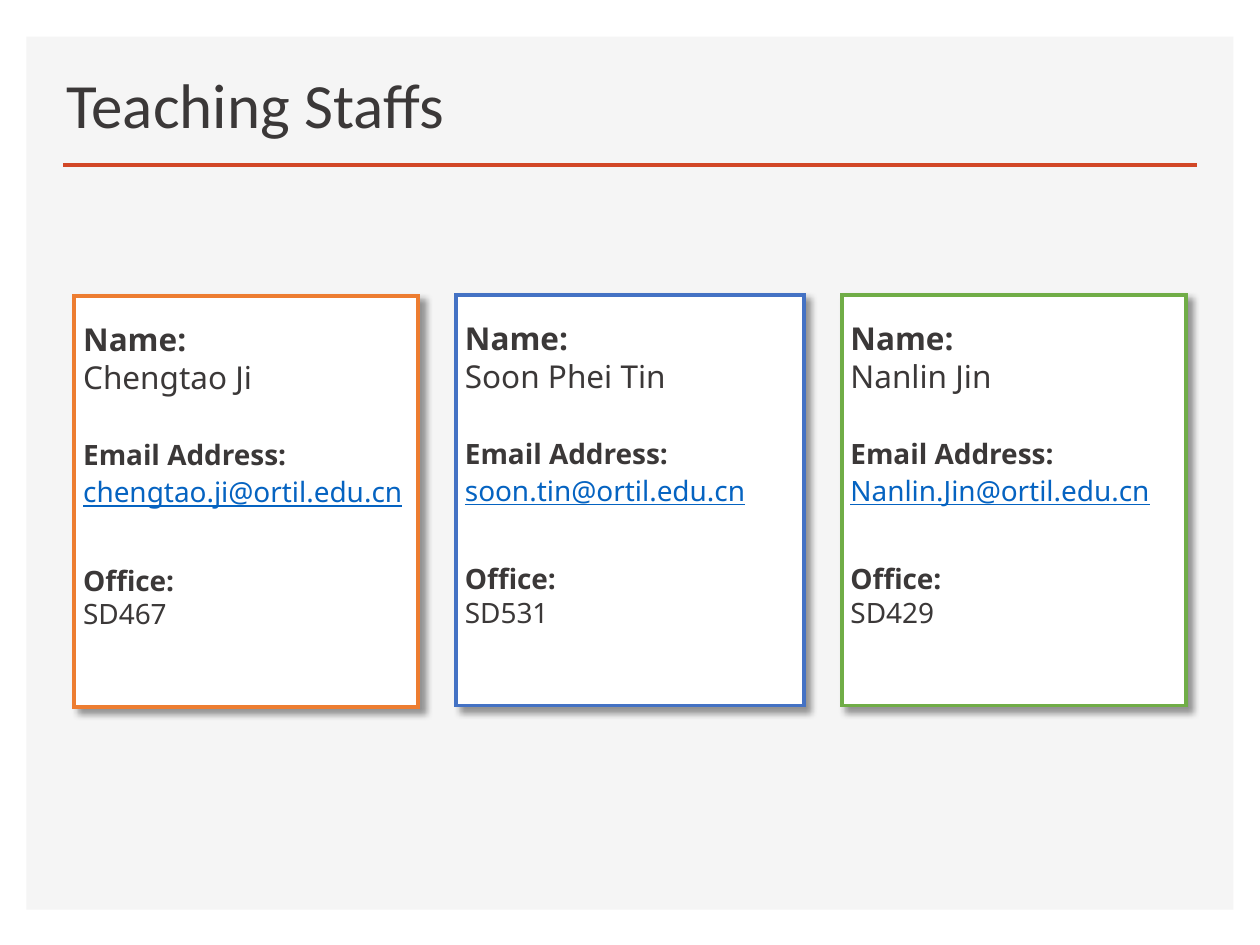
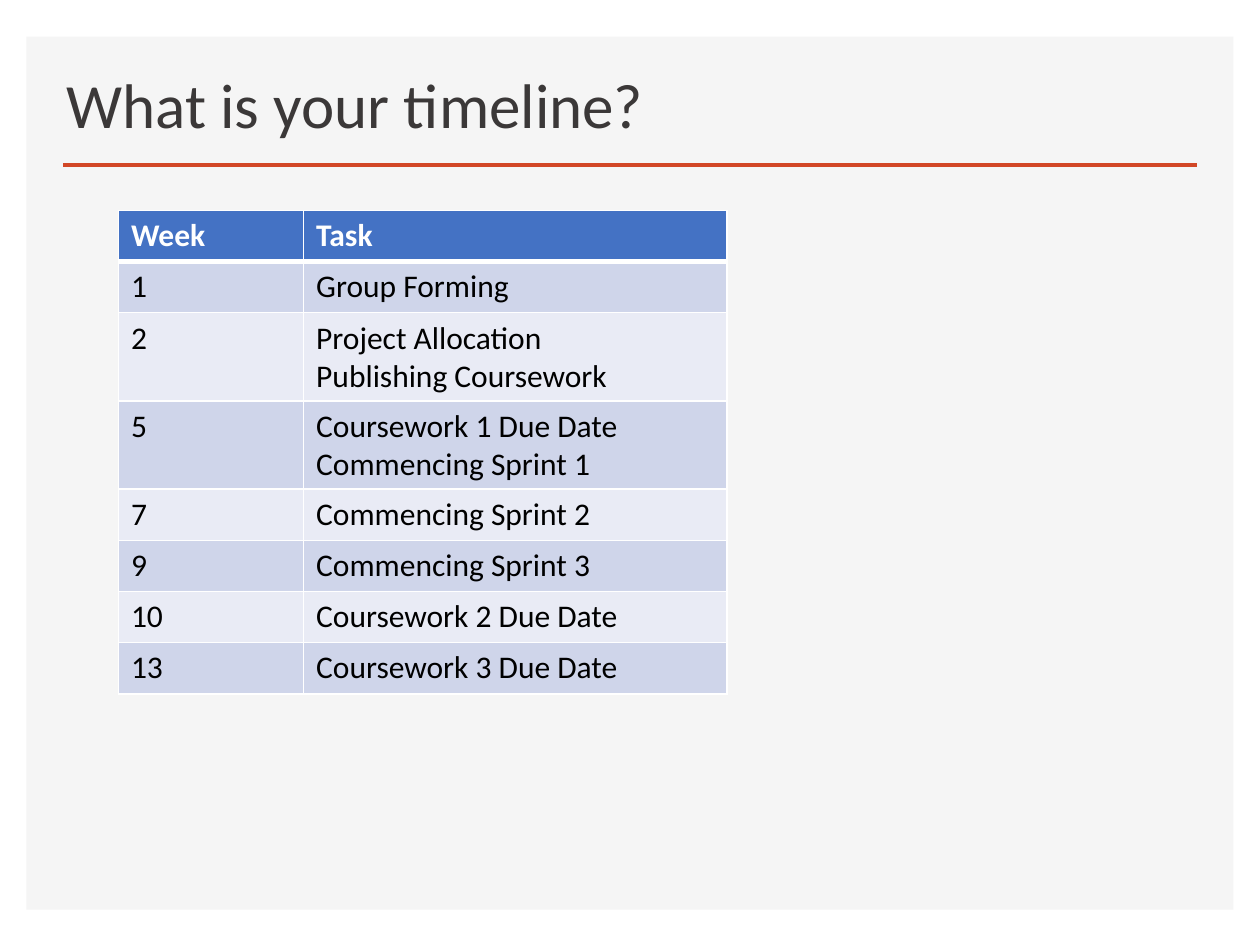
from lxml import etree
from pptx import Presentation
from pptx.dml.color import RGBColor
from pptx.enum.shapes import MSO_CONNECTOR, MSO_SHAPE
from pptx.enum.text import MSO_ANCHOR, PP_ALIGN
from pptx.oxml import parse_xml
from pptx.oxml.ns import nsdecls, qn
from pptx.util import Inches, Pt

RECTANGLE = MSO_SHAPE.RECTANGLE
STRAIGHT = MSO_CONNECTOR.STRAIGHT
TOP, BOTTOM = MSO_ANCHOR.TOP, MSO_ANCHOR.BOTTOM
LEFT = PP_ALIGN.LEFT

INK, WHITE, BLACK = "3B3838", "FFFFFF", "000000"
PANEL, RULE, LINK = "F5F5F5", "D24726", "0563C1"
BLUE, ORANGE, GREEN = "4472C4", "ED7D31", "70AD47"
BANDS = ("CFD5EA", "E9EBF5")
TITLE_FONT, CARD_FONT = "Calibri", "Noto Sans"

LABEL = {"line_spacing": 1.5, "space_before": Pt(10)}
VALUE = {"line_spacing": 1.0, "space_after": Pt(12)}
EMAIL_LABEL = {**LABEL, "line_spacing": 1.1}
EMAIL_VALUE = {**VALUE, "line_spacing": 1.1}

STAFF = [
    (0.59, 2.35, 2.73, ORANGE, "Chengtao Ji", "chengtao.ji@ortil.edu.cn", "SD467"),
    (3.62, 2.34, 2.76, BLUE, "Soon Phei Tin", "soon.tin@ortil.edu.cn", "SD531"),
    (6.68, 2.34, 2.73, GREEN, "Nanlin Jin", "Nanlin.Jin@ortil.edu.cn", "SD429"),
]
TIMELINE = [
    ("Week", "Task"),
    ("1", "Group Forming"),
    ("2", "Project Allocation\nPublishing Coursework"),
    ("5", "Coursework 1 Due Date\nCommencing Sprint 1"),
    ("7", "Commencing Sprint 2"),
    ("9", "Commencing Sprint 3"),
    ("10", "Coursework 2 Due Date"),
    ("13", "Coursework 3 Due Date"),
]


def rgb(colour):
    return RGBColor.from_string(colour)


def apply(target, formats):
    for attribute, value in formats.items():
        setattr(target, attribute, value)


def box(*lengths):
    return [Inches(length) for length in lengths]


def fill(target, colour):
    target.fill.solid()
    target.fill.fore_color.rgb = rgb(colour)


def write(paragraph, text, font, size, colour, **formats):
    run = paragraph.add_run()
    run.text = text
    apply(run.font, {"name": font, "size": Pt(size), **formats})
    run.font.color.rgb = rgb(colour)


def add_panel(slide):
    panel = slide.shapes.add_shape(RECTANGLE, *box(0.21, 0.29, 9.58, 6.93))
    panel.shadow.inherit = False
    fill(panel, PANEL)
    panel.line.fill.background()


def add_rule(slide):
    rule = slide.shapes.add_connector(STRAIGHT, *box(0.5, 1.31, 9.5, 1.31))
    rule.line.color.rgb = rgb(RULE)
    rule.line.width = Pt(2)
    etree.SubElement(rule._element.spPr, qn("a:effectLst"))


def add_title(slide, text):
    frame = slide.shapes.add_textbox(*box(0.43, 0.48, 5.64, 0.7)).text_frame
    apply(frame, {"word_wrap": True, "vertical_anchor": BOTTOM})
    frame.paragraphs[0].line_spacing = 0.9
    write(frame.paragraphs[0], text, TITLE_FONT, 36, INK)


def add_titled_slide(deck, title):
    slide = deck.slides.add_slide(deck.slide_layouts[6])
    add_panel(slide)
    add_rule(slide)
    add_title(slide, title)
    return slide


def outline(shape, colour, width):
    shape.line.color.rgb = rgb(colour)
    shape.line.width = Pt(width)
    corners = etree.SubElement(shape._element.spPr.find(qn("a:ln")), qn("a:miter"))
    corners.set("lim", "800000")


def cast_shadow(shape):
    shape.shadow.inherit = False
    effects = shape._element.spPr.find(qn("a:effectLst"))
    effects.append(parse_xml(
        f'<a:outerShdw {nsdecls("a")} blurRad="{Pt(4)}" dist="{Pt(4)}" '
        f'dir="2700000" algn="tl" rotWithShape="0"><a:srgbClr val="{BLACK}">'
        '<a:alpha val="40000"/></a:srgbClr></a:outerShdw>'))


def add_staff_card(slide, left, top, width, accent, name, email, office):
    card = slide.shapes.add_shape(RECTANGLE, *box(left, top, width, 3.26))
    fill(card, WHITE)
    outline(card, accent, 2.25)
    cast_shadow(card)
    frame = card.text_frame
    apply(frame, {
        "word_wrap": True, "vertical_anchor": TOP,
        "margin_left": Inches(0.07), "margin_right": Inches(0.07),
        "margin_top": Inches(0.04), "margin_bottom": Inches(0.04),
    })
    lines = [
        ("Name:", 18, INK, LABEL, {"bold": True}),
        (name, 18, INK, VALUE, {}),
        ("Email Address:", 16, INK, EMAIL_LABEL, {"bold": True}),
        (email, 16, LINK, EMAIL_VALUE, {"underline": True}),
        ("Office:", 16, INK, LABEL, {"bold": True}),
        (office, 16, INK, VALUE, {}),
    ]
    for index, (text, size, colour, spacing, style) in enumerate(lines):
        paragraph = frame.add_paragraph() if index else frame.paragraphs[0]
        apply(paragraph, {"alignment": LEFT, **spacing})
        write(paragraph, text, CARD_FONT, size, colour, **style)


def border_cell(cell, top, bottom):
    properties = cell._tc.get_or_add_tcPr()
    widths = {"lnL": 1, "lnR": 1, "lnT": top, "lnB": bottom}
    for index, (side, width) in enumerate(widths.items()):
        properties.insert(index, parse_xml(
            f'<a:{side} {nsdecls("a")} w="{Pt(width)}"><a:solidFill>'
            f'<a:srgbClr val="{WHITE}"/></a:solidFill></a:{side}>'))


def add_timeline(slide, entries):
    height = Inches(3.25)
    table = slide.shapes.add_table(
        len(entries), 2, *box(0.94, 1.67, 4.83), height).table
    for column, width in zip(table.columns, box(1.47, 3.36)):
        column.width = width
    for row, entry in enumerate(entries):
        table.rows[row].height = height // len(entries)
        header = row == 0
        for column, text in enumerate(entry):
            cell = table.cell(row, column)
            fill(cell, BLUE if header else BANDS[(row - 1) % 2])
            border_cell(cell, 3 if row == 1 else 1, 3 if header else 1)
            frame = cell.text_frame
            for index, line in enumerate(text.split("\n")):
                paragraph = frame.add_paragraph() if index else frame.paragraphs[0]
                write(paragraph, line, TITLE_FONT, 18,
                      WHITE if header else BLACK, bold=header)


def main():
    deck = Presentation()
    apply(deck, {"slide_width": Inches(10), "slide_height": Inches(7.5)})
    staff_slide = add_titled_slide(deck, "Teaching Staffs")
    for member in STAFF:
        add_staff_card(staff_slide, *member)
    add_timeline(add_titled_slide(deck, "What is your timeline?"), TIMELINE)
    deck.save("out.pptx")


if __name__ == "__main__":
    main()
